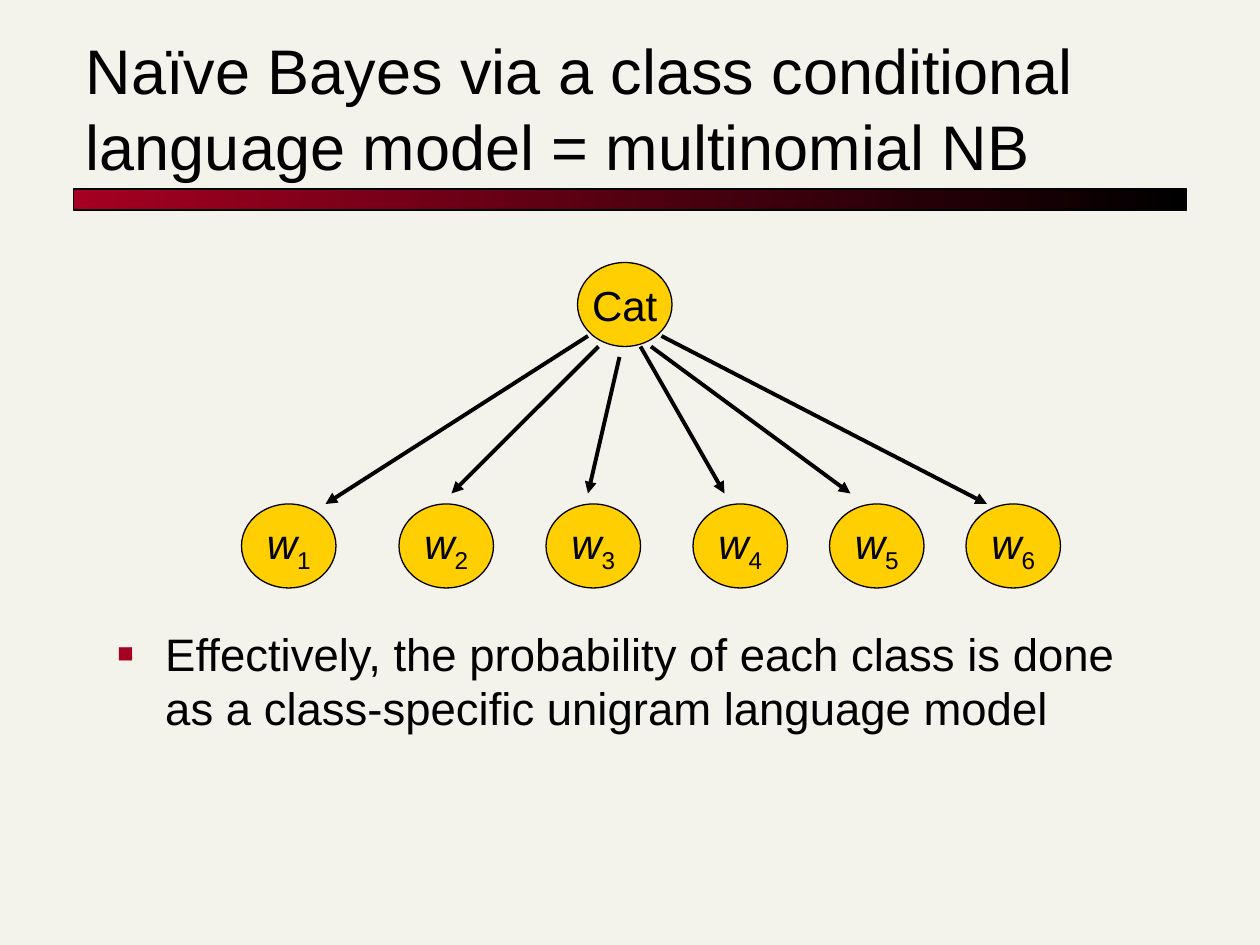
from lxml.etree import SubElement
from pptx import Presentation
from pptx.dml.color import RGBColor
from pptx.enum.shapes import MSO_CONNECTOR, MSO_SHAPE
from pptx.enum.text import MSO_ANCHOR, PP_ALIGN
from pptx.oxml.ns import qn
from pptx.util import Inches, Pt

OVAL, RECTANGLE = MSO_SHAPE.OVAL, MSO_SHAPE.RECTANGLE
STRAIGHT = MSO_CONNECTOR.STRAIGHT
TOP, MIDDLE, BOTTOM = MSO_ANCHOR.TOP, MSO_ANCHOR.MIDDLE, MSO_ANCHOR.BOTTOM
CENTER = PP_ALIGN.CENTER

COLORS = {"paper": "F4F3EB", "ink": "000000", "crimson": "A50021", "gold": "FFCF01"}
RGB = {role: RGBColor.from_string(value) for role, value in COLORS.items()}

prs = Presentation()
prs.slide_width, prs.slide_height = Inches(10), Inches(7.5)
COLUMN, ROW = prs.slide_width / 120, prs.slide_height / 90
slide = prs.slides.add_slide(prs.slide_layouts[6])
slide.background.fill.solid()
slide.background.fill.fore_color.rgb = RGB["paper"]


def grid(*cells):
    return [round(cell * (ROW if i % 2 else COLUMN)) for i, cell in enumerate(cells)]


def write(paragraph, text, size, **formats):
    run = paragraph.add_run()
    run.text = text
    for name, value in {"name": "Arial", "size": Pt(size), **formats}.items():
        setattr(run.font, name, value)
    run.font.color.rgb = RGB["ink"]
    return run


rule = slide.shapes.add_shape(RECTANGLE, *grid(7, 18, 106, 2))
rule.shadow.inherit = False
rule.fill.gradient()
rule.fill.gradient_angle = 180
for stop, role in zip(rule.fill.gradient_stops, ("ink", "crimson")):
    stop.color.rgb = RGB[role]
rule.line.color.rgb = RGB["ink"]
rule.line.width = Pt(0.75)

passages = [
    ((7, 5, 106, 13), BOTTOM, 36,
     "Naïve Bayes via a class conditional language model = multinomial NB"),
    ((10, 59, 102, 27), TOP, 26,
     "Effectively, the probability of each class is done as a class-specific unigram language model"),
]
for cells, anchor, size, text in passages:
    passage = slide.shapes.add_textbox(*grid(*cells)).text_frame
    passage.word_wrap = True
    passage.vertical_anchor = anchor
    write(passage.paragraphs[0], text, size)

conclusion = passage.paragraphs[0]
conclusion.space_before = Pt(6.5)
bullet = conclusion._p.get_or_add_pPr()
bullet.set("marL", str(Inches(0.38)))
bullet.set("indent", str(-Inches(0.38)))
SubElement(SubElement(bullet, qn("a:buClr")), qn("a:srgbClr"), val=COLORS["crimson"])
SubElement(bullet, qn("a:buSzPct"), val="60000")
SubElement(bullet, qn("a:buFont"), typeface="Arial")
SubElement(bullet, qn("a:buChar"), char="■")

word_columns = (23, 38, 52, 66, 79, 92)
nodes = [(55, 25, "Cat", "")]
nodes += [(column, 48, "w", str(i)) for i, column in enumerate(word_columns, 1)]
for column, row, label, index in nodes:
    node = slide.shapes.add_shape(OVAL, *grid(column, row, 9, 8))
    node.shadow.inherit = False
    node.fill.solid()
    node.fill.fore_color.rgb = RGB["gold"]
    node.line.color.rgb = RGB["ink"]
    node.line.width = Pt(0.75)
    node.text_frame.word_wrap = False
    node.text_frame.vertical_anchor = MIDDLE
    caption = node.text_frame.paragraphs[0]
    caption.alignment = CENTER
    write(caption, label, 24, italic=bool(index))
    if index:
        subscript = write(caption, index, 24, italic=False)
        subscript._r.get_or_add_rPr().set("baseline", "-25000")

dependencies = [
    (56, 32, 31, 48), (57, 33, 43, 47), (59, 34, 56, 47),
    (61, 33, 69, 47), (62, 33, 81, 47), (63, 32, 94, 48),
]
for ends in dependencies:
    arrow = slide.shapes.add_connector(STRAIGHT, *grid(*ends))
    arrow.line.color.rgb = RGB["ink"]
    arrow.line.width = Pt(2.25)
    SubElement(arrow.line._get_or_add_ln(), qn("a:tailEnd"), type="triangle")
    SubElement(arrow._element.spPr, qn("a:effectLst"))

prs.save("out.pptx")
